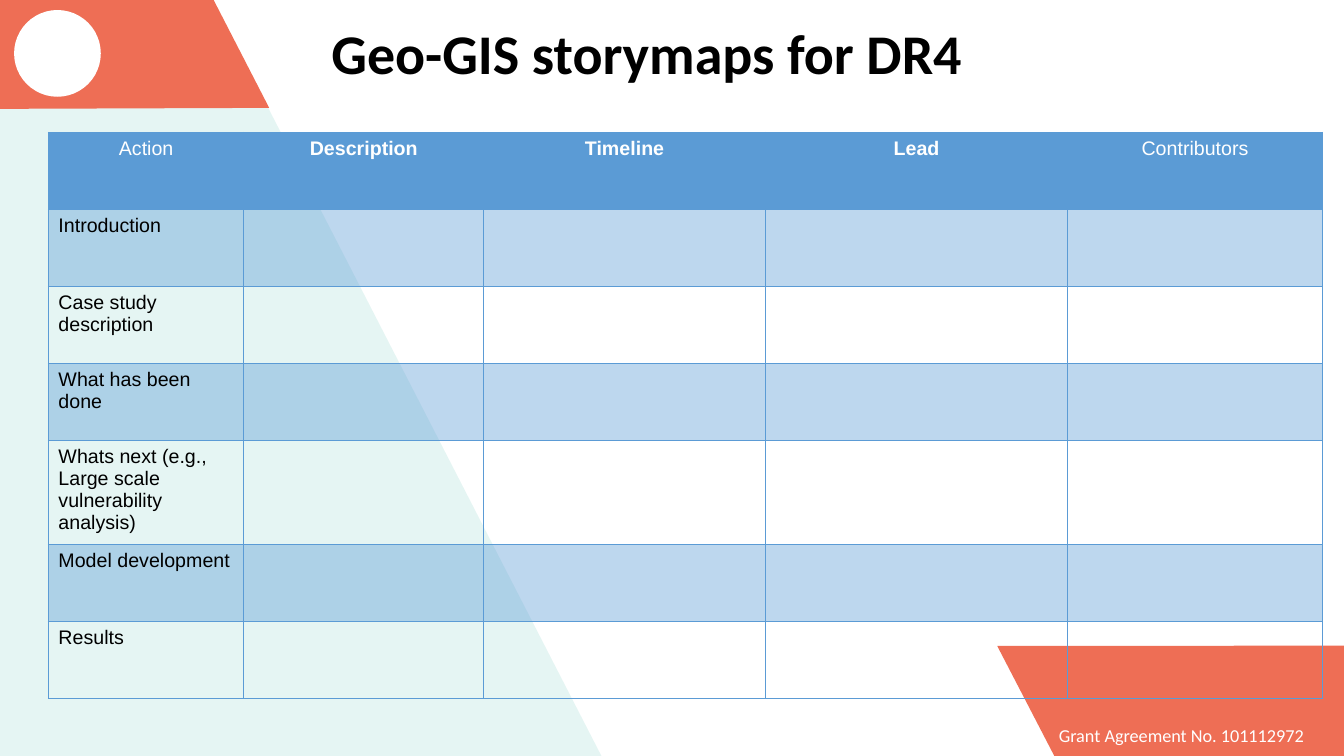
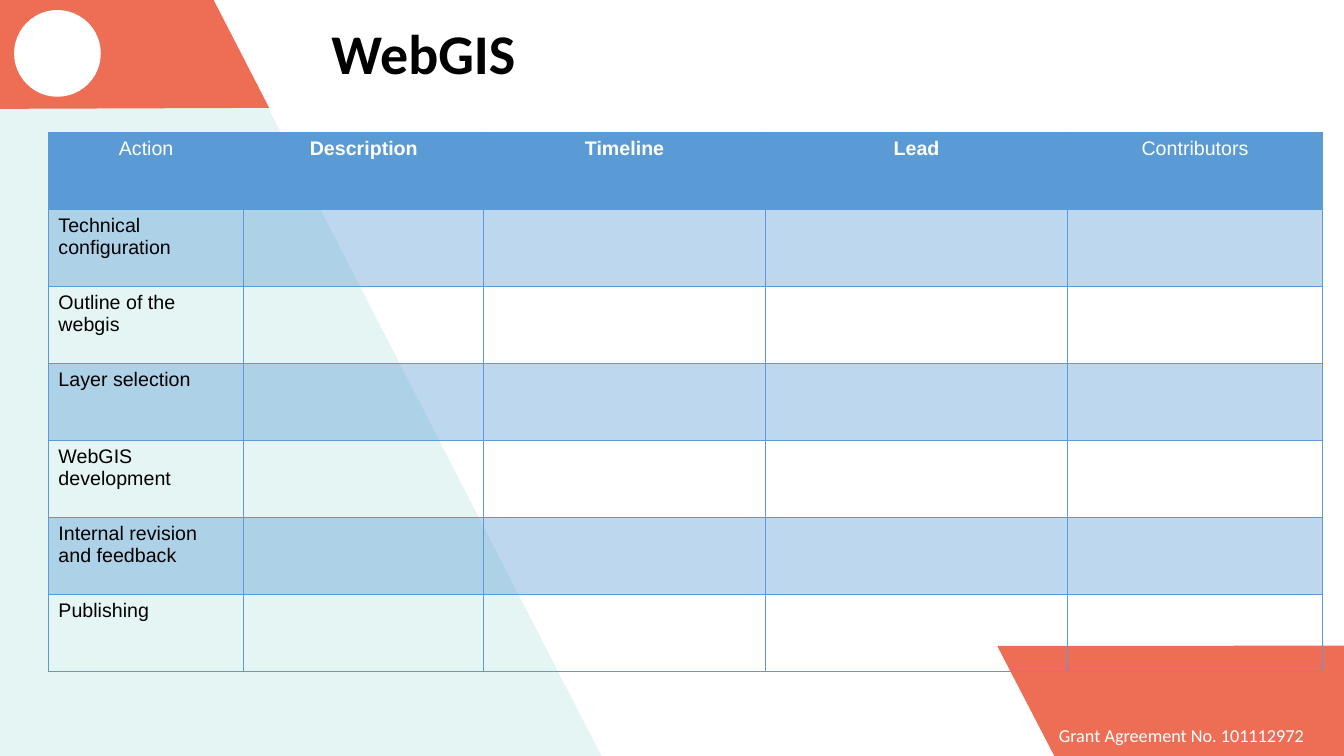
from dataclasses import dataclass

import lxml.etree
import pptx
import pptx.dml.color
import pptx.enum.shapes
import pptx.enum.text
import pptx.oxml.ns
import pptx.util

RGB = pptx.dml.color.RGBColor
ALIGN = pptx.enum.text.PP_ALIGN
ANCHOR = pptx.enum.text.MSO_ANCHOR
qn = pptx.oxml.ns.qn

SLIDE_WIDTH = pptx.util.Inches(13.33)
SLIDE_HEIGHT = pptx.util.Inches(7.5)


@dataclass(frozen=True)
class Theme:
    coral: str = "EE6E55"
    teal: str = "2EB4A3"
    blue: str = "5B9BD5"
    white: str = "FFFFFF"
    black: str = "000000"
    heading_font: str = "Calibri"
    table_font: str = "Arial"
    title_size: float = 40
    table_size: float = 14
    footer_size: float = 13
    border_width: float = 0.75
    teal_alpha: int = 12
    row_alpha: int = 40


THEME = Theme()


@dataclass(frozen=True)
class Box:
    """A rectangle in percent of the slide's width and height."""
    left: float
    top: float
    width: float
    height: float

    def lengths(self) -> tuple[int, int, int, int]:
        return across(self.left), down(self.top), across(self.width), down(self.height)


@dataclass(frozen=True)
class Band:
    """A background polygon with corners in percent of the slide."""
    corners: tuple[tuple[float, float], ...]
    color: str
    alpha: int = 100


@dataclass(frozen=True)
class Column:
    heading: str
    width: float
    bold: bool = True


@dataclass(frozen=True)
class Plan:
    title: str
    actions: tuple[str, ...]


@dataclass(frozen=True)
class TextStyle:
    font: str
    size: float
    color: str
    bold: bool = False
    align: ALIGN = ALIGN.LEFT


BANDS = (
    Band(((0, 0), (15.83, 0), (44.75, 100), (0, 100)), THEME.teal, THEME.teal_alpha),
    Band(((0, 0), (15.9, 0), (20.03, 14.27), (0, 14.4)), THEME.coral),
    Band(((74.2, 85.45), (100, 85.4), (100, 100), (78.45, 100)), THEME.coral),
)
DISC_BOX = Box(1.05, 1.33, 6.45, 11.47)
FOOTER_BOX = Box(75, 95.2, 22.72, 4.27)
TITLE_BOX = Box(23.92, 0.27, 70.88, 14.27)
TABLE_BOX = Box(3.6, 17.5, 94.8, 71.3)

FOOTER = "Grant Agreement No. 101112972"
COLUMNS = (
    Column("Action", 14.55, bold=False),
    Column("Description", 17.85),
    Column("Timeline", 20.95),
    Column("Lead", 22.5),
    Column("Contributors", 18.95, bold=False),
)
PLANS = (
    Plan("Geo-GIS storymaps for DR4", (
        "Introduction", "Case study description", "What has been done",
        "Whats next (e.g., Large scale vulnerability analysis)",
        "Model development", "Results")),
    Plan("WebGIS", (
        "Technical configuration", "Outline of the webgis", "Layer selection",
        "WebGIS development", "Internal revision and feedback", "Publishing")),
)


def across(percent: float) -> int:
    return round(SLIDE_WIDTH * percent / 100)


def down(percent: float) -> int:
    return round(SLIDE_HEIGHT * percent / 100)


def set_fill(fill, properties, color: str, alpha: int = 100) -> None:
    """Fill a shape or cell, given its properties element."""
    fill.solid()
    fill.fore_color.rgb = RGB.from_string(color)
    if alpha < 100:
        color_element = properties.find(qn("a:solidFill"))[0]
        lxml.etree.SubElement(color_element, qn("a:alpha"), val=str(alpha * 1000))


def set_text(frame, text: str, style: TextStyle) -> None:
    frame.word_wrap = True
    paragraph = frame.paragraphs[0]
    paragraph.text = text
    paragraph.alignment = style.align
    paragraph.font.name = style.font
    paragraph.font.size = pptx.util.Pt(style.size)
    paragraph.font.bold = style.bold
    paragraph.font.color.rgb = RGB.from_string(style.color)


def add_text(slide, box: Box, text: str, style: TextStyle):
    shape = slide.shapes.add_textbox(*box.lengths())
    set_text(shape.text_frame, text, style)
    return shape.text_frame


def finish_shape(shape, color: str, alpha: int = 100) -> None:
    shape.shadow.inherit = False
    set_fill(shape.fill, shape._element.spPr, color, alpha)
    shape.line.fill.background()


def add_band(slide, band: Band) -> None:
    points = [(across(x), down(y)) for x, y in band.corners]
    builder = slide.shapes.build_freeform(*points[0])
    builder.add_line_segments(points[1:], close=True)
    finish_shape(builder.convert_to_shape(), band.color, band.alpha)


def add_backdrop(slide) -> None:
    for band in BANDS:
        add_band(slide, band)
    disc = slide.shapes.add_shape(
        pptx.enum.shapes.MSO_SHAPE.OVAL, *DISC_BOX.lengths())
    finish_shape(disc, THEME.white)
    add_text(slide, FOOTER_BOX, FOOTER, TextStyle(
        THEME.heading_font, THEME.footer_size, THEME.white, align=ALIGN.RIGHT))


def add_title(slide, title: str) -> None:
    frame = add_text(slide, TITLE_BOX, title, TextStyle(
        THEME.heading_font, THEME.title_size, THEME.black, bold=True))
    frame.vertical_anchor = ANCHOR.MIDDLE
    frame.paragraphs[0].line_spacing = 0.9


def set_borders(cell) -> None:
    properties = cell._tc.get_or_add_tcPr()
    for side in "LRTB":
        line = lxml.etree.SubElement(
            properties, qn(f"a:ln{side}"), w=str(pptx.util.Pt(THEME.border_width)))
        fill = lxml.etree.SubElement(line, qn("a:solidFill"))
        lxml.etree.SubElement(fill, qn("a:srgbClr"), val=THEME.blue)


def fill_cell(cell, alpha: int = 100) -> None:
    set_fill(cell.fill, cell._tc.get_or_add_tcPr(), THEME.blue, alpha)


def add_plan_table(slide, actions: tuple[str, ...]) -> None:
    table = slide.shapes.add_table(
        len(actions) + 1, len(COLUMNS), *TABLE_BOX.lengths()).table
    table.horz_banding = False
    for cell in table.iter_cells():
        set_borders(cell)

    # Header row
    for index, column in enumerate(COLUMNS):
        table.columns[index].width = across(column.width)
        cell = table.cell(0, index)
        fill_cell(cell)
        set_text(cell.text_frame, column.heading, TextStyle(
            THEME.table_font, THEME.table_size, THEME.white, column.bold, ALIGN.CENTER))

    # Action rows, every other one tinted
    action_style = TextStyle(THEME.table_font, THEME.table_size, THEME.black)
    for row, action in enumerate(actions, start=1):
        for index in range(len(COLUMNS)):
            cell = table.cell(row, index)
            if row % 2:
                fill_cell(cell, THEME.row_alpha)
            else:
                cell.fill.background()
        set_text(table.cell(row, 0).text_frame, action, action_style)


def main() -> None:
    presentation = pptx.Presentation()
    presentation.slide_width = SLIDE_WIDTH
    presentation.slide_height = SLIDE_HEIGHT
    blank_layout = presentation.slide_layouts[6]
    for plan in PLANS:
        slide = presentation.slides.add_slide(blank_layout)
        add_backdrop(slide)
        add_title(slide, plan.title)
        add_plan_table(slide, plan.actions)
    presentation.save("out.pptx")


if __name__ == "__main__":
    main()
